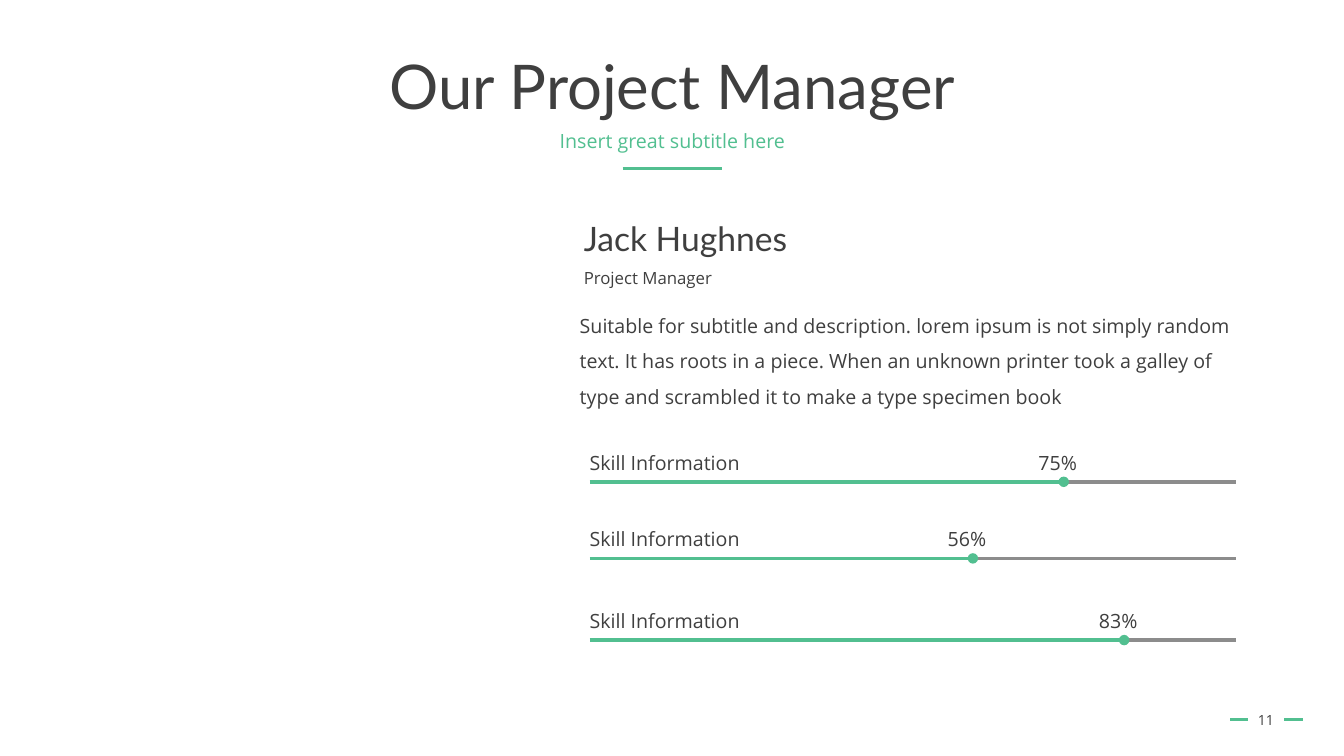
from lxml.etree import SubElement
from pptx import Presentation
from pptx.dml.color import RGBColor
from pptx.enum.shapes import MSO_CONNECTOR
from pptx.enum.text import MSO_ANCHOR, MSO_AUTO_SIZE, PP_ALIGN
from pptx.oxml.ns import qn
from pptx.util import Inches, Pt

COLORS = {"green": "52BF90", "grey": "8C8C8C", "text": "3F3F3F"}
# (label, value, length of the filled part, distance from the first bar)
SKILLS = [
    ("Skill Information", "75%", 4.7, 0),
    ("Skill Information", "56%", 3.8, 0.76),
    ("Skill Information", "83%", 5.3, 1.57),
]


def rgb(name):
    return RGBColor.from_string(COLORS[name])


def format_text(sp, text, size, font="Open Sans", color="text", spacing=1.0,
                align=PP_ALIGN.LEFT, anchor=MSO_ANCHOR.TOP, wrap=True,
                inset=(0.1, 0.05)):
    tf = sp.text_frame
    side, end = map(Inches, inset)
    frame = {"word_wrap": wrap, "auto_size": MSO_AUTO_SIZE.NONE,
             "vertical_anchor": anchor, "margin_left": side,
             "margin_right": side, "margin_top": end, "margin_bottom": end}
    for name, value in frame.items():
        setattr(tf, name, value)
    p = tf.paragraphs[0]
    p.alignment, p.line_spacing = align, spacing
    r = p.add_run()
    r.text = text
    for name, value in {"name": font, "size": Pt(size), "bold": False}.items():
        setattr(r.font, name, value)
    r.font.color.rgb = rgb(color)


def add_text(s, box, text, size, **style):
    sp = s.shapes.add_textbox(*map(Inches, box))
    format_text(sp, text, size, **style)


def add_line(s, x, y, length, color="green", width=1.75, dot=False):
    line = s.shapes.add_connector(MSO_CONNECTOR.STRAIGHT, Inches(x), Inches(y),
                                  Inches(x + length), Inches(y))
    line.line.color.rgb = rgb(color)
    line.line.width = Pt(width)
    if dot:
        SubElement(line.line._get_or_add_ln(), qn("a:tailEnd"), type="oval")
    SubElement(line._element.spPr, qn("a:effectLst"))


def add_header(s, x, y, w):
    title = s.shapes.title
    box = {"left": x, "top": y, "width": w, "height": 0.98}
    for name, value in box.items():
        setattr(title, name, Inches(value))
    format_text(title, "Our Project Manager", 44, font="Lato", spacing=0.9,
                align=PP_ALIGN.CENTER, anchor=MSO_ANCHOR.MIDDLE)
    add_text(s, (x, y + 0.86, w, 0.4), "Insert great subtitle here", 14,
             color="green", spacing=0.9, align=PP_ALIGN.CENTER)
    rule = 0.99
    add_line(s, x + (w - rule) / 2, y + 1.27, rule)


def add_profile(s, x, y, w):
    style = {"anchor": MSO_ANCHOR.MIDDLE, "wrap": False, "inset": (0.04, 0.04)}
    add_text(s, (x, y, 2.12, 0.44), "Jack Hughnes", 24, font="Lato",
             spacing=0.9, **style)
    add_text(s, (x, y + 0.42, 1.36, 0.3), "Project Manager", 12,
             spacing=1.2, **style)
    add_text(s, (x, y + 0.83, w, 1.06),
             "Suitable for subtitle and description. lorem ipsum is not simply "
             "random text. It has roots in a piece. When an unknown printer "
             "took a galley of type and scrambled it to make a type specimen "
             "book", 14, spacing=1.5, inset=(0, 0))


def add_skill(s, x, y, w, label, value, filled):
    add_line(s, x, y, w, color="grey", width=2.5)
    add_line(s, x, y, filled, width=2.5, dot=True)
    top = y - 0.36
    add_text(s, (x - 0.1, top, 1.7, 0.34), label, 14, wrap=False)
    add_text(s, (x + filled - 0.35, top, 0.59, 0.34), value, 14, wrap=False)


def add_skills(s, x, y, w):
    for label, value, filled, offset in SKILLS:
        add_skill(s, x, y + offset, w, label, value, filled)


def add_page_number(s, x, y, w, h):
    add_text(s, (x, y, w, h), "11", 10, align=PP_ALIGN.CENTER,
             anchor=MSO_ANCHOR.MIDDLE)
    for dash_x in (x - 0.06, x + 0.48):
        add_line(s, dash_x, y + h / 2, 0.18)


def main():
    prs = Presentation()
    prs.slide_width, prs.slide_height = Inches(13.33), Inches(7.5)
    s = prs.slides.add_slide(prs.slide_layouts[5])
    add_header(s, 0.92, 0.4, 11.5)
    add_profile(s, 5.75, 2.17, 6.47)
    add_skills(s, 5.85, 4.78, 6.41)
    add_page_number(s, 12.26, 6.94, 0.59, 0.4)
    prs.save("out.pptx")


if __name__ == "__main__":
    main()
